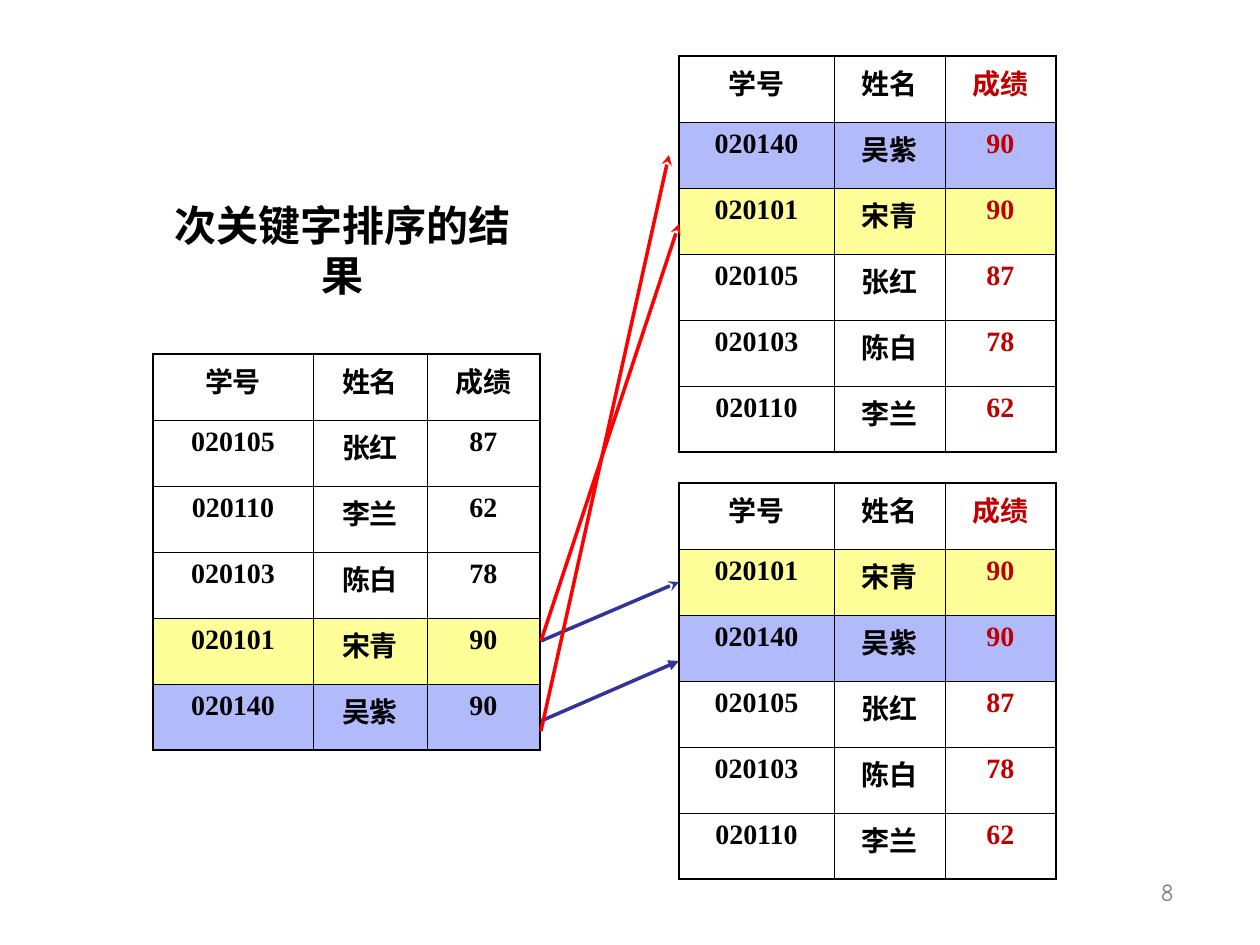
import dataclasses

import lxml.etree
import pptx
import pptx.dml.color
import pptx.enum.shapes
import pptx.enum.text
import pptx.oxml.ns
import pptx.util

EMU_PER_PX = 914400 / 126
ALIGN = pptx.enum.text.PP_ALIGN
ANCHOR = pptx.enum.text.MSO_ANCHOR
HEADER = ("学号", "姓名", "成绩")
STUDENTS = {
    "020101": ("宋青", "90"),
    "020103": ("陈白", "78"),
    "020105": ("张红", "87"),
    "020110": ("李兰", "62"),
    "020140": ("吴紫", "90"),
}


@dataclasses.dataclass(frozen=True)
class Theme:
    """Colours, fonts and type sizes of the slide."""

    ink: str = "000000"
    key: str = "C00000"
    page: str = "808080"
    stable: str = "333399"
    unstable: str = "FF0000"
    font: str = "Times New Roman"
    page_font: str = "Comic Neue"
    title_size: int = 24
    cell_size: int = 16
    page_size: int = 14
    arrow_width: int = 2
    outer_border: float = 1.08
    inner_border: float = 0.45


THEME = Theme()
ROW_FILLS = {"020101": "FFFF99", "020140": "B1BAFB"}


def px(n):
    """Turn px into EMU."""
    return pptx.util.Emu(round(n * EMU_PER_PX))


def rgb(value):
    """Turn a hex string into a colour."""
    return pptx.dml.color.RGBColor.from_string(value)


def add_text(tf, text, size, color=THEME.ink, font=THEME.font, bold=True, align=ALIGN.CENTER):
    """Write one run into the first paragraph of a text frame."""
    p = tf.paragraphs[0]
    p.alignment = align
    p.space_before = pptx.util.Pt(0)
    r = p.add_run()
    r.text = text
    r.font.name = font
    r.font.size = pptx.util.Pt(size)
    r.font.bold = bold
    r.font.color.rgb = rgb(color)


def add_border(cell, side, width):
    """Draw one side of a cell's border."""
    qn = pptx.oxml.ns.qn
    tc_pr = cell._tc.get_or_add_tcPr()
    ln = lxml.etree.SubElement(tc_pr, qn(f"a:ln{side}"), w=str(pptx.util.Pt(width)))
    fill = lxml.etree.SubElement(ln, qn("a:solidFill"))
    lxml.etree.SubElement(fill, qn("a:srgbClr"), val=THEME.ink)


def add_title(s, text, x, y, w, h):
    """Place and format the slide title."""
    sp = s.shapes.title
    sp.left, sp.top, sp.width, sp.height = map(px, (x, y, w, h))
    tf = sp.text_frame
    tf.auto_size = pptx.enum.text.MSO_AUTO_SIZE.NONE
    tf.word_wrap = False
    tf.vertical_anchor = ANCHOR.MIDDLE
    add_text(tf, text, THEME.title_size)


def add_score_table(s, ids, x, y, col_widths, row_height, key_color):
    """Build a table of students in the given order."""
    rows = [HEADER] + [(i, *STUDENTS[i]) for i in ids]
    last_row, last_col = len(rows) - 1, len(HEADER) - 1
    size = px(sum(col_widths)), px(row_height * len(rows))
    table = s.shapes.add_table(len(rows), len(HEADER), px(x), px(y), *size).table
    table.first_row = table.horz_banding = False
    for col, width in zip(table.columns, col_widths):
        col.width = px(width)
    for i, values in enumerate(rows):
        table.rows[i].height = px(row_height)
        for j, value in enumerate(values):
            cell = table.cell(i, j)
            outer = {"L": j == 0, "R": j == last_col, "T": i == 0, "B": i == last_row}
            for side, is_outer in outer.items():
                add_border(cell, side, THEME.outer_border if is_outer else THEME.inner_border)
            if values[0] in ROW_FILLS:
                cell.fill.solid()
                cell.fill.fore_color.rgb = rgb(ROW_FILLS[values[0]])
            else:
                cell.fill.background()
            color = key_color if j == last_col else THEME.ink
            add_text(cell.text_frame, value, THEME.cell_size, color)


def add_arrow(s, start, end, color, head):
    """Draw a straight arrow between two points."""
    qn = pptx.oxml.ns.qn
    kind = pptx.enum.shapes.MSO_CONNECTOR.STRAIGHT
    c = s.shapes.add_connector(kind, *map(px, start + end))
    c.line.color.rgb = rgb(color)
    c.line.width = pptx.util.Pt(THEME.arrow_width)
    sp_pr = c._element.spPr
    lxml.etree.SubElement(sp_pr.find(qn("a:ln")), qn("a:tailEnd"), type=head)
    lxml.etree.SubElement(sp_pr, qn("a:effectLst"))


def add_page_number(s, text, x, y, w, h):
    """Place the page number at the lower right."""
    tf = s.shapes.add_textbox(*map(px, (x, y, w, h))).text_frame
    tf.word_wrap = True
    tf.vertical_anchor = ANCHOR.BOTTOM
    add_text(tf, text, THEME.page_size, THEME.page, THEME.page_font, False, ALIGN.RIGHT)


def build_sort_slide(prs):
    """Compare the two possible results of sorting by the secondary key."""
    s = prs.slides.add_slide(prs.slide_layouts[5])
    add_title(s, "次关键字排序的结果", 144, 205, 397, 89)
    add_page_number(s, "8", 924, 850, 262, 63)

    result_cols, row_height = (155, 111, 111), 66
    unstable = ("020140", "020101", "020105", "020103", "020110")
    stable = ("020101", "020140", "020105", "020103", "020110")
    source = ("020105", "020110", "020103", "020101", "020140")
    add_score_table(s, unstable, 679, 56, result_cols, row_height, THEME.key)
    add_score_table(s, stable, 679, 483, result_cols, row_height, THEME.key)
    add_score_table(s, source, 153, 354, (160, 114, 113), row_height, THEME.ink)

    add_arrow(s, (541, 721), (679, 661), THEME.stable, "triangle")
    add_arrow(s, (541, 641), (679, 582), THEME.stable, "stealth")
    add_arrow(s, (541, 641), (679, 224), THEME.unstable, "stealth")
    add_arrow(s, (541, 731), (669, 155), THEME.unstable, "stealth")


def main():
    """Build and save the presentation."""
    prs = pptx.Presentation()
    prs.slide_width, prs.slide_height = px(1260), px(945)
    build_sort_slide(prs)
    prs.save("out.pptx")


if __name__ == "__main__":
    main()
